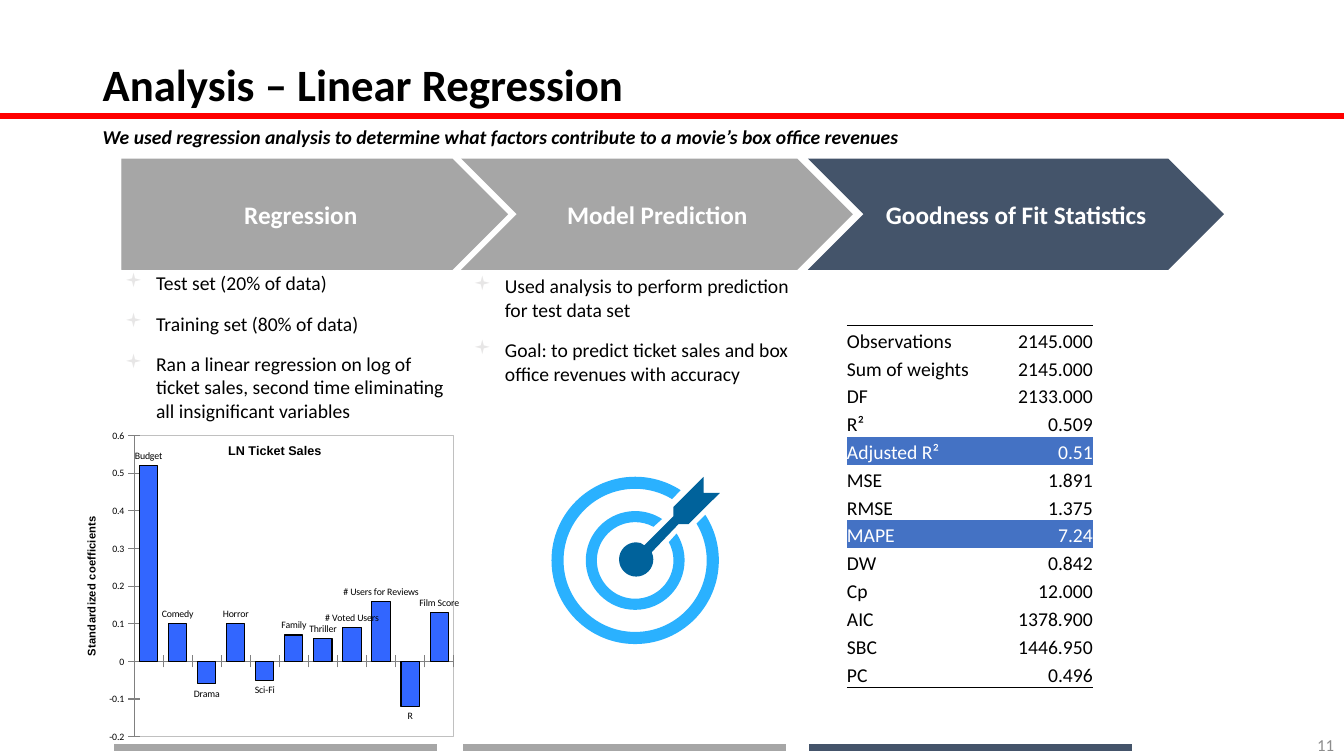
from math import cos, radians, sin, tan

from lxml import etree
from pptx import Presentation
from pptx import util as u
from pptx.chart import data as chart_data
from pptx.dml.color import RGBColor
from pptx.enum import chart as kinds, shapes, text
from pptx.oxml import parse_xml
from pptx.oxml.ns import nsdecls, qn

Inches, Pt = u.Inches, u.Pt
COLORS = {"black": "000000", "white": "FFFFFF", "red": "FF0000", "gray": "A6A6A6",
          "slate": "44546A", "number": "8C8C8C", "bullet": "E7E6E6", "bar": "3266FF",
          "axis": "808080", "frame": "C0C0C0", "ring": "2AB1FF", "dart": "00629B",
          "highlight": "4472C4"}
RGB = {name: RGBColor.from_string(value) for name, value in COLORS.items()}
LEFT, CENTER, RIGHT = text.PP_ALIGN.LEFT, text.PP_ALIGN.CENTER, text.PP_ALIGN.RIGHT
TOP, MIDDLE, BOTTOM = text.MSO_ANCHOR.TOP, text.MSO_ANCHOR.MIDDLE, text.MSO_ANCHOR.BOTTOM


def write(para, words, color, size, **values):
    span = para.add_run()
    span.text = words
    for name, value in {"name": "Calibri", "size": Pt(size), **values}.items():
        setattr(span.font, name, value)
    span.font.color.rgb = RGB[color]


def arc(x, y, radius, start, end):
    """List the curves of an arc, cut at each quarter turn: two handles and an end."""
    low, high = sorted((start, end))
    angles = [low, *(a for a in range(0, 450, 90) if low < a < high), high]
    if start > end:
        angles.reverse()
    curves = []
    for a, b in zip(map(radians, angles), map(radians, angles[1:])):
        pull = 4 / 3 * tan((b - a) / 4)
        spots = [(cos(a) - pull * sin(a), sin(a) + pull * cos(a)),
                 (cos(b) + pull * sin(b), sin(b) - pull * cos(b)), (cos(b), sin(b))]
        curves.append([(x + radius * h, y - radius * v) for h, v in spots])
    return curves


deck = Presentation()
deck.slide_width, deck.slide_height = Inches(13.33), Inches(7.5)
page = deck.slides.add_slide(deck.slide_layouts[6])

# Title, subtitle and page number
headings = [
    ("Analysis – Linear Regression", (0.92, 0.19, 11.5, 0.96), BOTTOM, LEFT, 0.9,
     "black", 32, {"bold": True}),
    ("We used regression analysis to determine what factors contribute to "
     "a movie’s box office revenues", (0.92, 1.22, 11.5, 0.67), TOP, LEFT, 0.9,
     "black", 14, {"bold": True, "italic": True}),
    ("11", (10.33, 7.19, 3, 0.4), MIDDLE, RIGHT, 1.0, "number", 12, {}),
]
for words, area, anchor, align, spacing, color, size, values in headings:
    frame = page.shapes.add_textbox(*map(Inches, area)).text_frame
    frame.word_wrap, frame.vertical_anchor = True, anchor
    para = frame.paragraphs[0]
    para.alignment, para.line_spacing = align, spacing
    write(para, words, color, size, **values)

# Red rule under the title
rule = page.shapes.add_connector(shapes.MSO_CONNECTOR.STRAIGHT, Inches(-0.26),
                                 Inches(1.15), Inches(13.8), Inches(1.15))
rule.line.color.rgb, rule.line.width = RGB["red"], Pt(4.5)
etree.SubElement(rule._element.spPr, qn("a:effectLst"))

# Process arrows and the bars at the foot of each column
PLATE, CHEVRON = shapes.MSO_SHAPE.PENTAGON, shapes.MSO_SHAPE.CHEVRON
BAR = shapes.MSO_SHAPE.RECTANGLE
blocks = [
    (PLATE, "Regression", (1.21, 1.58, 3.82, 1.09), "gray"),
    (CHEVRON, "Model Prediction", (4.59, 1.58, 3.86, 1.09), "gray"),
    (CHEVRON, "Goodness of Fit Statistics", (8.03, 1.58, 4.1, 1.09), "slate"),
    (BAR, "", (1.14, 7.39, 3.19, 0.05), "gray"),
    (BAR, "", (4.6, 7.39, 3.19, 0.05), "gray"),
    (BAR, "", (8.03, 7.39, 3.19, 0.05), "slate"),
]
for kind, words, area, color in blocks:
    block = page.shapes.add_shape(kind, *map(Inches, area))
    block.shadow.inherit = False
    block.fill.solid()
    block.fill.fore_color.rgb = block.line.color.rgb = RGB[color]
    block.line.width = Pt(1)
    etree.SubElement(block.line._get_or_add_ln(), qn("a:miter"), lim="800000")
    if words:
        frame = block.text_frame
        frame.word_wrap, frame.vertical_anchor = False, MIDDLE
        frame.paragraphs[0].alignment = CENTER
        write(frame.paragraphs[0], words, "white", 18, bold=True)

# Bulleted notes
notes = [
    ((1.14, 2.64, 3.46, 2.09),
     ["Test set (20% of data)", "Training set (80% of data)",
      "Ran a linear regression on log of ticket sales, second time eliminating "
      "all insignificant variables"]),
    ((4.6, 2.67, 3.46, 1.68),
     ["Used analysis to perform prediction for test data set",
      "Goal: to predict ticket sales and box office revenues with accuracy"]),
]
for area, lines in notes:
    frame = page.shapes.add_textbox(*map(Inches, area)).text_frame
    frame.word_wrap = True
    for index, line in enumerate(lines):
        para = frame.add_paragraph() if index else frame.paragraphs[0]
        props = para._p.get_or_add_pPr()
        props.set("marL", str(Inches(0.31)))
        props.set("indent", str(Inches(-0.31)))
        tint = etree.SubElement(props, qn("a:buClr"))
        etree.SubElement(tint, qn("a:srgbClr"), val=COLORS["bullet"])
        etree.SubElement(props, qn("a:buFont"), typeface="Wingdings")
        etree.SubElement(props, qn("a:buChar"), char="▪")
        para.space_after = Pt(12)
        write(para, line, "black", 14)

# Coefficient chart
coefficients = [("Budget", 0.52), ("Comedy", 0.1), ("Drama", -0.06), ("Horror", 0.1),
                ("Sci-Fi", -0.05), ("Family", 0.07), ("Thriller", 0.06),
                ("# Voted Users", 0.09), ("# Users for Reviews", 0.16), ("R", -0.12),
                ("Film Score", 0.13)]
data = chart_data.CategoryChartData()
data.categories = [label for label, _ in coefficients]
data.add_series("Series 1", [value for _, value in coefficients])
WIDTH, HEIGHT = 3.95, 3.62
chart = page.shapes.add_chart(kinds.XL_CHART_TYPE.COLUMN_CLUSTERED, Inches(0.64),
                              Inches(3.81), Inches(WIDTH), Inches(HEIGHT), data).chart
chart.font.name, chart.font.size = "Calibri", Pt(10)
chart.font.color.rgb = RGB["black"]
chart.has_legend = False
plot = chart.plots[0]
plot.gap_width, plot.overlap, plot.vary_by_categories = 60, -30, False
series = plot.series[0]
series.invert_if_negative = False
series.format.fill.solid()
series.format.fill.fore_color.rgb = RGB["bar"]
series.format.line.color.rgb, series.format.line.width = RGB["black"], Pt(0.75)
for index, (label, _) in enumerate(coefficients):
    tag = series.points[index].data_label
    write(tag.text_frame.paragraphs[0], label, "black", 7)
    tag.position = kinds.XL_LABEL_POSITION.OUTSIDE_END

scale = chart.value_axis
scale.minimum_scale, scale.maximum_scale, scale.major_unit = -0.2, 0.6, 0.1
for axis in (chart.category_axis, scale):
    axis.has_major_gridlines = False
    axis.major_tick_mark = kinds.XL_TICK_MARK.CROSS
    axis.format.line.color.rgb = RGB["axis"]
    axis.tick_labels.font.size = Pt(7)
chart.category_axis.tick_label_position = kinds.XL_TICK_LABEL_POSITION.NONE
scale.tick_labels.number_format = "General"
scale.tick_labels.number_format_is_linked = False
for title, words, size in ((chart.chart_title, "LN Ticket Sales", 9),
                           (scale.axis_title, "Standardized coefficients", 8)):
    write(title.text_frame.paragraphs[0], words, "black", size, name="Arial", bold=True)
chart.chart_title.include_in_layout = True
scale.axis_title.text_frame._txBody.bodyPr.set("rot", "-5400000")

# Places of the chart titles and the plot, in inches from the chart's corner
area = chart._chartSpace.chart.plotArea
for part, spots in ((chart.chart_title._element, {"x": 1.6, "y": 0.56}),
                    (scale.axis_title._element, {"x": 0.17, "y": 1.29}),
                    (area, {"x": 0.69, "y": 0.51, "w": 3.17, "h": 2.99})):
    for old in part.findall(qn("c:layout")):
        part.remove(old)
    layout = etree.Element(qn("c:layout"))
    part.insert(0 if part is area else 1, layout)
    manual = etree.SubElement(layout, qn("c:manualLayout"))
    settings = {"layoutTarget": "inner"} if part is area else {}
    settings |= {"xMode": "edge", "yMode": "edge"}
    settings |= {k: round(v / (WIDTH if k in "xw" else HEIGHT), 4) for k, v in spots.items()}
    for name, value in settings.items():
        etree.SubElement(manual, qn("c:" + name), val=str(value))
area.append(parse_xml(
    f'<c:spPr {nsdecls("c", "a")}><a:noFill/><a:ln w="9525"><a:solidFill>'
    f'<a:srgbClr val="{COLORS["frame"]}"/></a:solidFill></a:ln></c:spPr>'))

# Target: two open rings and a dart
outlines = []
for outer, inner, gap in ((0.49, 0.38, 16.5), (0.83, 0.71, 14)):
    rim = arc(6.3, 5.56, inner, 405 - gap, 45 + gap)
    edge = arc(6.3, 5.56, outer, 57, 393)
    start = (6.3 + outer * cos(radians(57)), 5.56 - outer * sin(radians(57)))
    turn = (6.3 + inner * cos(radians(45 - gap)), 5.56 - inner * sin(radians(45 - gap)))
    outlines.append((start, edge + [[turn]] + rim, "ring"))
tip = [(6.73, 5.2), (6.83, 5.2), (7.14, 4.89), (6.98, 4.89), (6.98, 4.73),
       (6.68, 5.03), (6.68, 5.12)]
outlines.append(((6.39, 5.41), arc(6.31, 5.55, 0.17, 60, 385) + [[p] for p in tip], "dart"))
for start, moves, color in outlines:
    builder = page.shapes.build_freeform(*map(Inches, start))
    builder.add_line_segments([tuple(map(Inches, move[-1])) for move in moves], close=True)
    piece = builder.convert_to_shape()
    piece.shadow.inherit = False
    piece.fill.solid()
    piece.fill.fore_color.rgb = RGB[color]
    piece.line.fill.background()
    for step, move in zip(list(piece._element.iter(qn("a:lnTo"))), moves):
        if len(move) == 3:
            step.tag = qn("a:cubicBezTo")
            for place, (x, y) in enumerate(move[:2]):
                step.insert(place, etree.Element(qn("a:pt"), x=str(Inches(x) - piece.left),
                                                 y=str(Inches(y) - piece.top)))

# Fit statistics table
statistics = [("Observations", "2145.000"), ("Sum of weights", "2145.000"),
              ("DF", "2133.000"), ("R²", "0.509"), ("Adjusted R²", "0.51"),
              ("MSE", "1.891"), ("RMSE", "1.375"), ("MAPE", "7.24"), ("DW", "0.842"),
              ("Cp", "12.000"), ("AIC", "1378.900"), ("SBC", "1446.950"), ("PC", "0.496")]
last = len(statistics) - 1
table = page.shapes.add_table(last + 1, 2, Inches(8.4), Inches(3.23), Inches(2.44),
                              Inches(3.59)).table
table.first_row = table.horz_banding = False
table._tbl.tblPr.find(qn("a:tableStyleId")).text = "{2D5ABB26-0587-4C30-8999-92F81FD0307C}"
table.columns[0].width, table.columns[1].width = Inches(1.57), Inches(0.87)
edges = {0: "lnT", last: "lnB"}
for row, entry in enumerate(statistics):
    marked = entry[0] in ("Adjusted R²", "MAPE")
    for column, words in enumerate(entry):
        cell = table.cell(row, column)
        for side in ("left", "right", "top", "bottom"):
            setattr(cell, "margin_" + side, 0)
        cell.vertical_anchor = BOTTOM
        cell.fill.background()
        if marked:
            cell.fill.solid()
            cell.fill.fore_color.rgb = RGB["highlight"]
        para = cell.text_frame.paragraphs[0]
        para.alignment = RIGHT if column else LEFT
        write(para, words, "white" if marked else "black", 14)
        if row in edges:
            cell._tc.get_or_add_tcPr().insert(0, parse_xml(
                f'<a:{edges[row]} {nsdecls("a")} w="12700"><a:solidFill><a:srgbClr '
                f'val="{COLORS["black"]}"/></a:solidFill></a:{edges[row]}>'))

deck.save("out.pptx")
